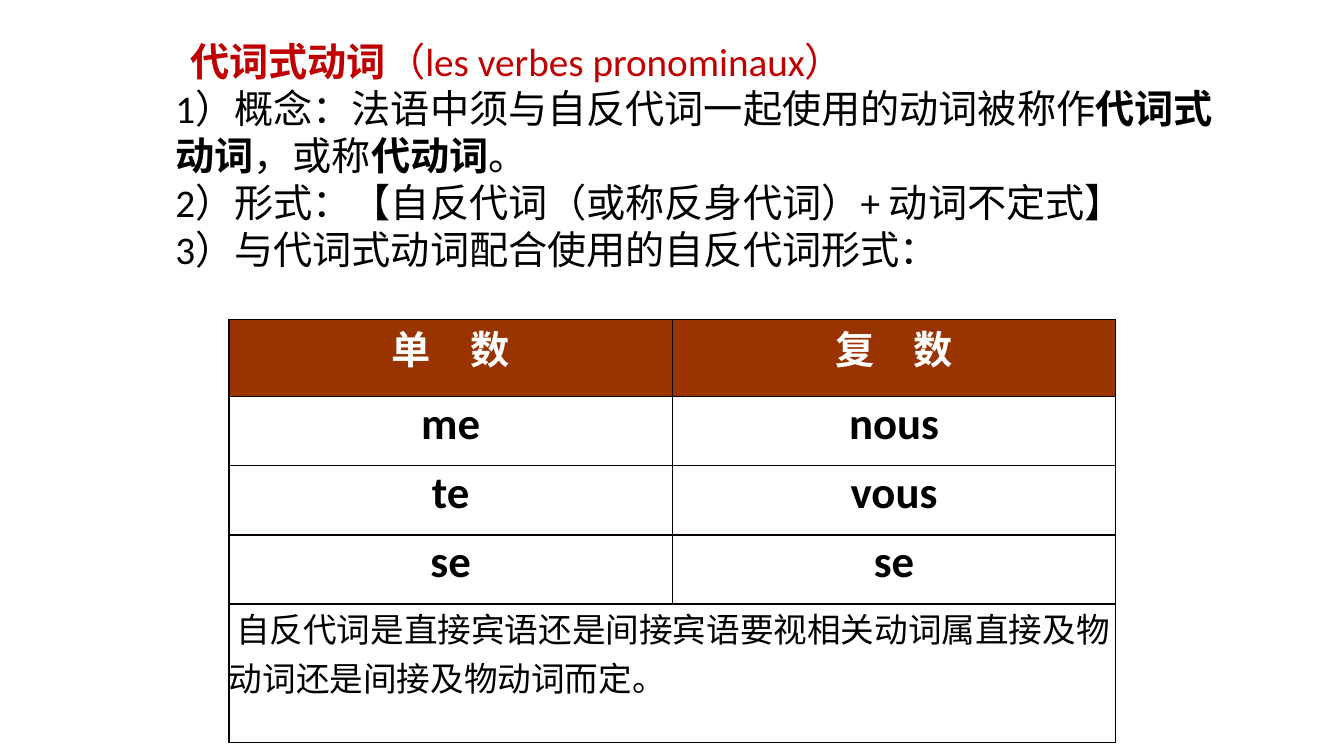
from dataclasses import dataclass

from lxml.etree import SubElement
from pptx import Presentation
from pptx.dml.color import RGBColor as Rgb
from pptx.enum.text import PP_ALIGN as Align
from pptx.oxml.ns import qn
from pptx.util import Cm, Pt


@dataclass(frozen=True)
class Theme:
    """Colours, fonts and type sizes of the slide."""
    title: str = "C00000"
    ink: str = "000000"
    paper: str = "FFFFFF"
    header: str = "993300"
    border: str = "080000"
    chinese: str = "Noto Sans CJK SC"
    french: str = "Calibri"
    body_size: int = 28
    pronoun_size: int = 32
    note_size: int = 24
    body_leading: float = 33.6
    border_width: float = 1


THEME = Theme()

LESSON = [
    [("代词式动词", {"bold": True}), ("（", {}),
     ("les verbes pronominaux", {"face": THEME.french}), ("）", {})],
    [("1", {"face": THEME.french}),
     ("）概念：法语中须与自反代词一起使用的动词被称作", {}),
     ("代词式动词", {"bold": True}), ("，或称", {}),
     ("代动词", {"bold": True}), ("。", {})],
    [("2", {"face": THEME.french}), ("）形式：【自反代词（或称反身代词）", {}),
     ("+ ", {"face": THEME.french}), ("动词不定式】", {})],
    [("3", {"face": THEME.french}),
     ("）与代词式动词配合使用的自反代词形式：", {})],
]
NUMBERS = ("单　数", "复　数")
PRONOUNS = [("me", "nous"), ("te", "vous"), ("se", "se")]
NOTE = "自反代词是直接宾语还是间接宾语要视相关动词属直接及物动词还是间接及物动词而定。"


def add_text(paragraph, text, size=THEME.body_size, color=THEME.ink,
             face=THEME.chinese, bold=False):
    """Append one formatted run to a paragraph."""
    run = paragraph.add_run()
    run.text = text
    run.font.size = Pt(size)
    run.font.bold = bold
    run.font.color.rgb = Rgb.from_string(color)
    run.font.name = face
    SubElement(run.font._element, qn("a:ea"), typeface=THEME.chinese)


def indent_first_line(paragraph, length):
    """Indent the first line of a paragraph."""
    properties = paragraph._p.get_or_add_pPr()
    properties.set("marL", "0")
    properties.set("indent", str(int(length)))


def style_cell(cell, fill):
    """Give a cell its borders, fill and zero margins."""
    properties = cell._tc.get_or_add_tcPr()
    for side in ("lnL", "lnR", "lnT", "lnB"):
        line = SubElement(properties, qn(f"a:{side}"),
                          w=str(int(Pt(THEME.border_width))))
        SubElement(SubElement(line, qn("a:solidFill")), qn("a:srgbClr"),
                   val=THEME.border)
    cell.fill.solid()
    cell.fill.fore_color.rgb = Rgb.from_string(fill)
    cell.margin_left = cell.margin_right = 0
    cell.margin_top = cell.margin_bottom = 0


def add_lesson(slide, left, top, width, height):
    """Place the title and the three numbered points."""
    frame = slide.shapes.add_textbox(left, top, width, height).text_frame
    frame.word_wrap = True
    for index, runs in enumerate(LESSON):
        paragraph = frame.add_paragraph() if index else frame.paragraphs[0]
        paragraph.line_spacing = Pt(THEME.body_leading)
        if index == 0:
            indent_first_line(paragraph, Cm(0.38))
        for text, look in runs:
            add_text(paragraph, text,
                     color=THEME.ink if index else THEME.title, **look)


def add_pronoun_table(slide, left, top, width, height):
    """Place the pronoun table with its closing note."""
    rows = [NUMBERS, *PRONOUNS]
    table = slide.shapes.add_table(len(rows) + 1, len(NUMBERS),
                                   left, top, width, height).table
    table.horz_banding = False
    header_height, pronoun_height = Cm(1.95), Cm(1.74)
    for row in table.rows:
        row.height = pronoun_height
    table.rows[0].height = header_height
    note_row = len(rows)
    table.rows[note_row].height = (
        height - header_height - len(PRONOUNS) * pronoun_height)

    for cell in table.iter_cells():
        style_cell(cell, THEME.paper)
    for row, texts in enumerate(rows):
        for column, text in enumerate(texts):
            cell = table.cell(row, column)
            paragraph = cell.text_frame.paragraphs[0]
            paragraph.alignment = Align.CENTER
            if row == 0:
                cell.fill.fore_color.rgb = Rgb.from_string(THEME.header)
                add_text(paragraph, text, color=THEME.paper, bold=True)
            else:
                add_text(paragraph, text, size=THEME.pronoun_size,
                         face=THEME.french, bold=True)

    note = table.cell(note_row, 0)
    note.merge(table.cell(note_row, len(NUMBERS) - 1))
    paragraph = note.text_frame.paragraphs[0]
    indent_first_line(paragraph, Cm(0.18))
    add_text(paragraph, NOTE, size=THEME.note_size)


def main():
    """Build and save the slide."""
    deck = Presentation()
    deck.slide_width, deck.slide_height = Cm(33.87), Cm(19.05)
    slide = deck.slides.add_slide(deck.slide_layouts[6])
    add_pronoun_table(slide, Cm(5.77), Cm(8.05), Cm(22.35), Cm(10.65))
    add_lesson(slide, Cm(4.17), Cm(0.81), Cm(27.61), Cm(6.25))
    deck.save("out.pptx")


if __name__ == "__main__":
    main()
